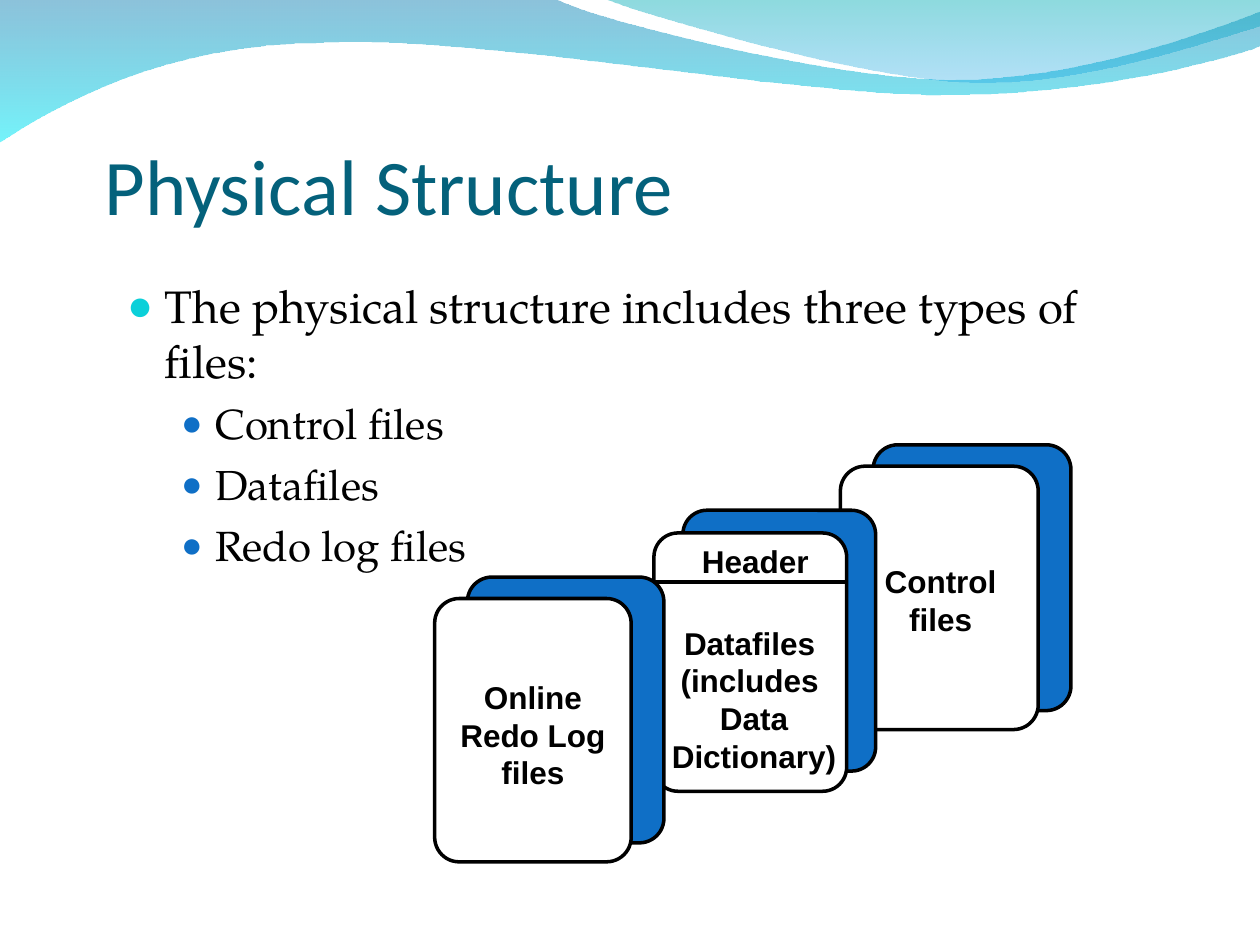
from dataclasses import dataclass
from lxml.etree import SubElement
from pptx import Presentation
from pptx.dml.color import RGBColor
from pptx.enum.shapes import MSO_CONNECTOR, MSO_SHAPE
from pptx.enum.text import MSO_ANCHOR, MSO_AUTO_SIZE, PP_ALIGN
from pptx.oxml.ns import qn
from pptx.util import Inches, Pt


@dataclass(frozen=True)
class Theme:
    title: str = "04617B"
    ink: str = "000000"
    paper: str = "FFFFFF"
    blue: str = "0F6FC6"
    cyan: str = "0BD0D9"
    head: str = "Calibri"
    body: str = "TeX Gyre Pagella"
    label: str = "Arial"
    large: int = 45
    lead: int = 26
    item: int = 24
    small: int = 18
    line: int = 2


THEME = Theme()
COLS, ROWS = 100, 75
CELL = Inches(10) / COLS

SEA = [
    [(0, -0.1)],
    [(44, -0.1)],
    [(47.6, 1.7), (66.4, 6.3), (75.8, 6.3)],
    [(85.3, 6.3), (95.8, 2.6), (100, 0.9)],
    [(100.1, 3.6)],
    [(98.3, 4.4), (87, 7.6), (74.6, 7.5)],
    [(62.2, 7.5), (38.2, 2.8), (25.7, 3.4)],
    [(12.9, 3.5), (4.6, 8.3), (-0.1, 11.3)],
]
SKY = [
    [(47.9, -0.1)],
    [(50.9, 1.1), (68.2, 6.2), (76.9, 6.5)],
    [(85.6, 6.9), (96.1, 3.2), (100, 2.1)],
    [(100, 0)],
]
CARDS = [
    ((66.7, 37, 15.7, 20.9), (2.6, -1.7), ["Control", "files"],
     (69.2, 44.1, 10.9, 7)),
    ((51.9, 42.3, 15.3, 20.5), (2.3, -1.8),
     ["Datafiles", "(includes", " Data", " Dictionary)"], (51.6, 49, 15.8, 13)),
    ((34.5, 47.5, 15.6, 20.9), (2.6, -1.7), ["Online", "Redo Log", "files"],
     (35.5, 53.3, 13.6, 10)),
]


def grid(*cells):
    return [round(cell * CELL) for cell in cells]


def color(code):
    return RGBColor.from_string(code)


def style(para, face, size, code, bold=False):
    for run in para.runs:
        font = run.font
        font.name, font.size, font.bold = face, Pt(size), bold
        font.color.rgb = color(code)


def bend(shape, parts):
    lines = iter(list(shape._element.spPr.iter(qn("a:lnTo"))))
    for part in parts:
        group = [next(lines) for dot in part]
        if len(group) == 3:
            first, *rest = group
            first.tag = qn("a:cubicBezTo")
            for line in rest:
                first.append(line[0])
                line.getparent().remove(line)


def wave(slide, parts, stops):
    dots = [grid(*dot) for part in parts for dot in part]
    pen = slide.shapes.build_freeform(*dots[0])
    pen.add_line_segments(dots[1:])
    shape = pen.convert_to_shape()
    bend(shape, parts[1:])
    shape.shadow.inherit = False
    shape.line.fill.background()
    shape.fill.gradient()
    shape.fill.gradient_angle = 270
    for stop, (code, share) in zip(shape.fill.gradient_stops, stops):
        stop.color.rgb = color(code)
    tints = shape._element.spPr.iter(qn("a:srgbClr"))
    for tint, (code, share) in zip(tints, stops):
        SubElement(tint, qn("a:alpha"), val=str(share * 1000))


def heading(slide, text):
    title = slide.shapes.title
    title.left, title.top, title.width, title.height = grid(8.3, 13.3, 86.7, 12.5)
    frame = title.text_frame
    frame.text = text
    frame.auto_size = MSO_AUTO_SIZE.NONE
    frame.vertical_anchor = MSO_ANCHOR.BOTTOM
    frame.margin_left = frame.margin_right = frame.margin_top = 0
    frame.margin_bottom = grid(7.4)[0]
    para = frame.paragraphs[0]
    para.alignment = PP_ALIGN.LEFT
    style(para, THEME.head, THEME.large, THEME.title)


def bullet(para, left, hang, code, share):
    props = para._p.get_or_add_pPr()
    props.set("marL", str(Inches(left)))
    props.set("indent", str(-Inches(hang)))
    tint = SubElement(props, qn("a:buClr"))
    SubElement(tint, qn("a:srgbClr"), val=code)
    SubElement(props, qn("a:buSzPct"), val=str(share * 1000))
    SubElement(props, qn("a:buFont"), typeface=THEME.label)
    SubElement(props, qn("a:buChar"), char="●")


def points(slide, lead, items):
    frame = slide.shapes.add_textbox(*grid(9.1, 21.6, 84.1, 40.7)).text_frame
    frame.word_wrap = True
    frame.text = "\n".join([lead, *items])
    first, *rest = frame.paragraphs
    first.space_before = Pt(6.5)
    bullet(first, 0.3, 0.3, THEME.cyan, 95)
    style(first, THEME.body, THEME.lead, THEME.ink)
    for para in rest:
        para.level = 1
        para.space_before = Pt(6)
        bullet(para, 0.7, 0.27, THEME.blue, 85)
        style(para, THEME.body, THEME.item, THEME.ink)


def sheet(slide, box, code):
    shape = slide.shapes.add_shape(MSO_SHAPE.ROUNDED_RECTANGLE, *grid(*box))
    shape.adjustments[0] = 0.125
    shape.shadow.inherit = False
    shape.fill.solid()
    shape.fill.fore_color.rgb = color(code)
    shape.line.color.rgb = color(THEME.ink)
    shape.line.width = Pt(THEME.line)


def label(slide, lines, box):
    frame = slide.shapes.add_textbox(*grid(*box)).text_frame
    frame.word_wrap = False
    frame.auto_size = MSO_AUTO_SIZE.SHAPE_TO_FIT_TEXT
    frame.text = "\n".join(lines)
    for para in frame.paragraphs:
        para.alignment = PP_ALIGN.CENTER
        style(para, THEME.label, THEME.small, THEME.ink, True)


def card(slide, box, shift, lines, spot):
    left, top, width, height = box
    right, down = shift
    sheet(slide, (left + right, top + down, width, height + 0.2), THEME.blue)
    sheet(slide, box, THEME.paper)
    label(slide, lines, spot)


def header(slide, box):
    left, top, width, height = box
    label(slide, [" Header"], (left + 2.1, top + 0.2, 11.2, 4))
    level = top + 3.9
    rule = slide.shapes.add_connector(
        MSO_CONNECTOR.STRAIGHT, *grid(left, level, left + width, level))
    rule.line.color.rgb = color(THEME.ink)
    rule.line.width = Pt(THEME.line)
    SubElement(rule._element.spPr, qn("a:effectLst"))


def main():
    deck = Presentation()
    deck.slide_width, deck.slide_height = grid(COLS, ROWS)
    slide = deck.slides.add_slide(deck.slide_layouts[5])
    wave(slide, SEA, [("0079AF", 45), ("00EBF8", 55)])
    wave(slide, SKY, [("00ADB6", 45), ("009BE5", 30)])
    heading(slide, "Physical Structure")
    points(slide, "The physical structure includes three types of files:",
           ["Control files", "Datafiles", "Redo log files"])
    for box, shift, lines, spot in CARDS:
        card(slide, box, shift, lines, spot)
        if lines[0] == "Datafiles":
            header(slide, box)
    deck.save("out.pptx")


if __name__ == "__main__":
    main()
